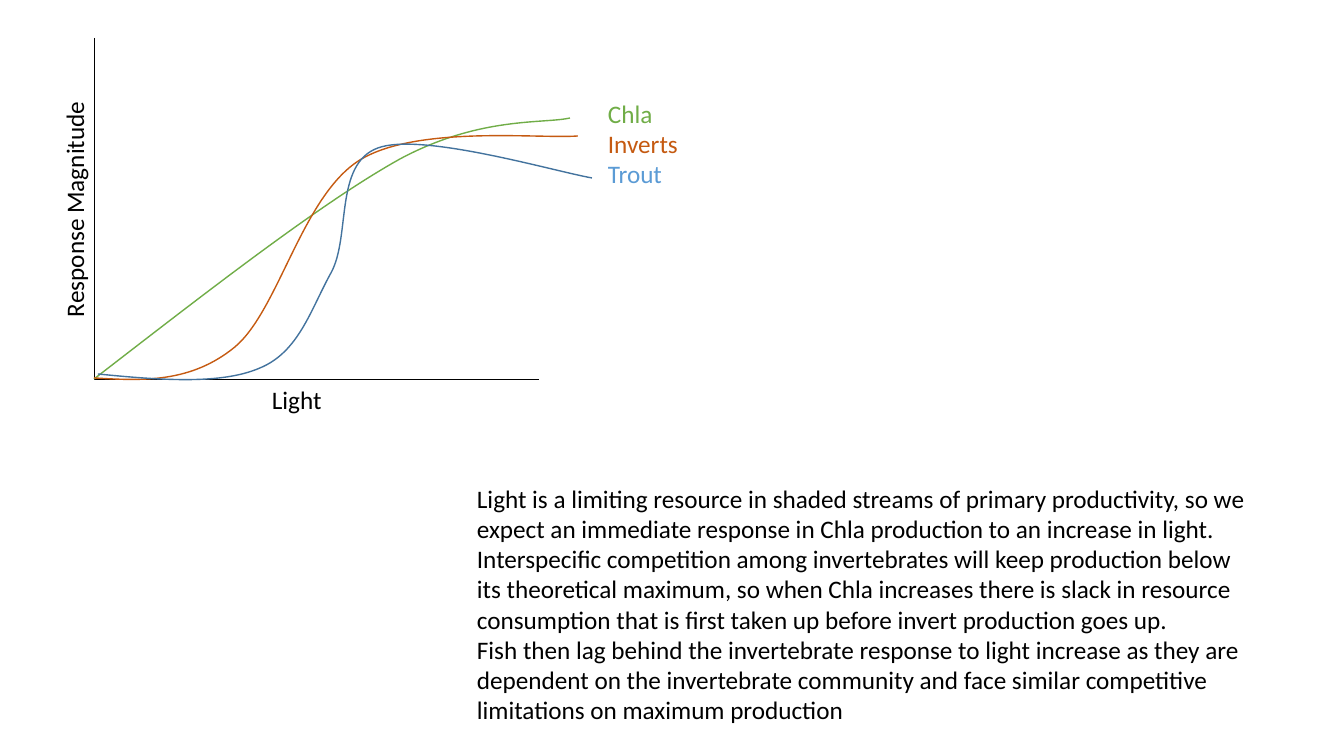
import lxml.etree
import pptx
import pptx.dml.color
import pptx.enum.shapes
import pptx.enum.text
import pptx.oxml.ns
import pptx.util

BLACK, GREEN, ORANGE, BLUE, DARK_BLUE = "000000", "70AD47", "C55A11", "5B9BD5", "43739E"


def emu(pixels):
    return pptx.util.Emu(round(pixels * 914400 / 100.8))


def color(code):
    return pptx.dml.color.RGBColor.from_string(code)


def add_node(parent, tag, **attributes):
    return lxml.etree.SubElement(parent, pptx.oxml.ns.qn(tag), **attributes)


class SlideBuilder:
    font = "Calibri"
    size = pptx.util.Pt(18)

    def __init__(self, page):
        self.page = page

    def outline(self, shape, code, width):
        shape.line.color.rgb = color(code)
        shape.line.width = pptx.util.Pt(width)

    def axis(self, *ends):
        line = self.page.shapes.add_connector(
            pptx.enum.shapes.MSO_CONNECTOR.STRAIGHT, *map(emu, ends))
        self.outline(line, BLACK, 0.5)
        add_node(line._element.spPr, "a:effectLst")

    def curve(self, code, frame, start, *segments):
        left, top, width, height = frame
        builder = self.page.shapes.build_freeform(emu(left), emu(top))
        builder.add_line_segments([(emu(left + width), emu(top + height))], close=False)
        shape = builder.convert_to_shape()
        shape.shadow.inherit = False
        shape.fill.background()
        self.outline(shape, code, 1)
        route = next(shape._element.iter(pptx.oxml.ns.qn("a:path")))
        for node in list(route):
            route.remove(node)
        for tag, points in [("a:moveTo", [start])] + [("a:cubicBezTo", part) for part in segments]:
            step = add_node(route, tag)
            for x, y in points:
                add_node(step, "a:pt", x=str(emu(x - left)), y=str(emu(y - top)))

    def text(self, frame, lines, rotation=0, wrap=False):
        box = self.page.shapes.add_textbox(*map(emu, frame))
        box.rotation = rotation
        box.text_frame.word_wrap = wrap
        box.text_frame.auto_size = pptx.enum.text.MSO_AUTO_SIZE.SHAPE_TO_FIT_TEXT
        box.text_frame.text = "\n".join(words for words, code in lines)
        for para, (words, code) in zip(box.text_frame.paragraphs, lines):
            para.font.name = self.font
            para.font.size = self.size
            para.font.color.rgb = color(code)


deck = pptx.Presentation()
deck.slide_width, deck.slide_height = emu(1344), emu(756)
slide = SlideBuilder(deck.slides.add_slide(deck.slide_layouts[6]))

slide.axis(94, 38, 94, 379)
slide.axis(539, 379, 94, 379)
slide.curve(GREEN, (94, 118, 476, 261), (94, 379),
            ((208, 291), (321, 203), (400, 159)),
            ((480, 116), (544, 124), (570, 118)))
slide.text((262, 379, 71, 40), [("Light", BLACK)])
slide.text((-45, 188, 238, 40), [("Response Magnitude", BLACK)], rotation=270)
slide.curve(ORANGE, (94, 135, 484, 244), (94, 378),
            ((143, 381), (191, 383), (235, 347)),
            ((279, 310), (302, 196), (360, 160)),
            ((417, 125), (539, 139), (578, 136)))
slide.curve(DARK_BLUE, (98, 144, 494, 235), (98, 374),
            ((159, 380), (221, 385), (260, 368)),
            ((299, 352), (311, 309), (331, 273)),
            ((351, 237), (334, 164), (378, 148)),
            ((421, 132), (553, 171), (592, 178)))
slide.text((598, 93, 91, 102), [("Chla", GREEN), ("Inverts", ORANGE), ("Trout", BLUE)])
explanation = (
    "Light is a limiting resource in shaded streams of primary productivity, so we expect "
    "an immediate response in Chla production to an increase in light.",
    "Interspecific competition among invertebrates will keep production below its theoretical "
    "maximum, so when Chla increases there is slack in resource consumption that is first "
    "taken up before invert production goes up.",
    "Fish then lag behind the invertebrate response to light increase as they are dependent on "
    "the invertebrate community and face similar competitive limitations on maximum production",
)
slide.text((467, 478, 797, 254), [(words, BLACK) for words in explanation], wrap=True)

deck.save("out.pptx")
